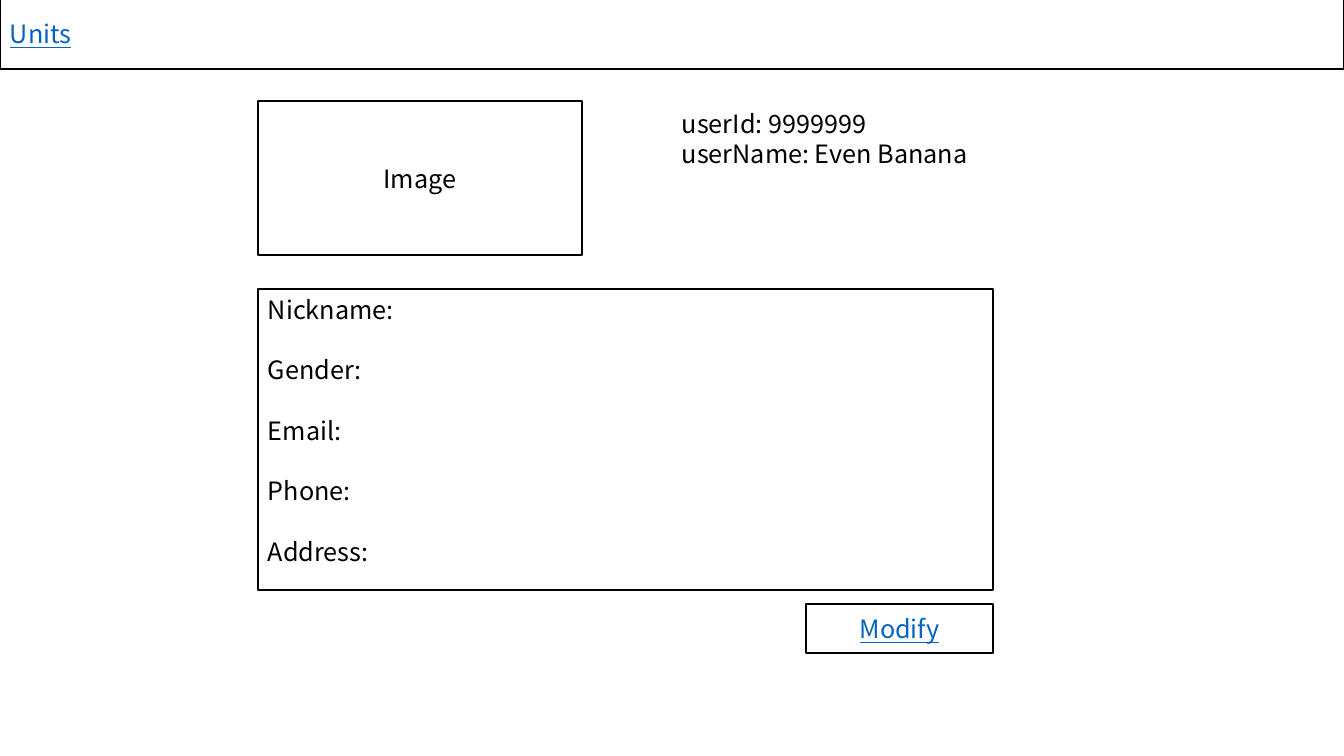
from pptx import Presentation
from pptx.dml.color import RGBColor
from pptx.enum.shapes import MSO_SHAPE
from pptx.enum.text import MSO_ANCHOR, PP_ALIGN
from pptx.util import Emu, Pt

RECTANGLE = MSO_SHAPE.RECTANGLE
TOP, MIDDLE = MSO_ANCHOR.TOP, MSO_ANCHOR.MIDDLE
LEFT, CENTER = PP_ALIGN.LEFT, PP_ALIGN.CENTER

PIXEL = 914400 / 100.8
COLORS = {"paper": "FFFFFF", "ink": "000000", "link": "0563C1"}
FONT = "Noto Sans CJK SC"
FONT_SIZE = Pt(18)
LINE_HEIGHT = Pt(21.6)


def color(name):
    return RGBColor.from_string(COLORS[name])


def to_emu(box):
    return [Emu(round(length * PIXEL)) for length in box]


def write_lines(shape, lines, anchor=TOP, align=LEFT, link=False, gap=Pt(0)):
    frame = shape.text_frame
    frame.word_wrap = True
    frame.vertical_anchor = anchor
    frame.text = "\n".join(lines)
    for index, paragraph in enumerate(frame.paragraphs):
        paragraph.alignment = align
        paragraph.line_spacing = LINE_HEIGHT
        paragraph.space_before = gap if index else Pt(0)
        for run in paragraph.runs:
            run.font.name = FONT
            run.font.size = FONT_SIZE
            run.font.color.rgb = color("link" if link else "ink")
            if link:
                run.font.underline = True


def add_panel(slide, box, lines, **text_options):
    panel = slide.shapes.add_shape(RECTANGLE, *to_emu(box))
    panel.shadow.inherit = False
    panel.fill.solid()
    panel.fill.fore_color.rgb = color("paper")
    panel.line.color.rgb = color("ink")
    panel.line.width = Pt(1)
    write_lines(panel, lines, **text_options)


# Top navigation bar
def add_navigation(slide, box):
    add_panel(slide, box, ["Units"], anchor=MIDDLE, link=True)


# User picture frame and identity text
def add_identity(slide, box):
    left, top, width, height = box
    add_panel(slide, (left, top, 324, height), ["Image"],
              anchor=MIDDLE, align=CENTER)
    identity_left = left + 414
    identity = slide.shapes.add_textbox(
        *to_emu((identity_left, top + 2, width - 414, 72)))
    write_lines(identity, ["userId: 9999999", "userName: Even Banana"])


# Profile fields with the button aligned to their right edge
def add_profile(slide, box):
    left, top, width, height = box
    button_width, button_height = 187, 49
    fields = ["Nickname:", "Gender:", "Email:", "Phone:", "Address:"]
    add_panel(slide, (left, top, width, height - button_height - 14),
              fields, gap=LINE_HEIGHT)
    add_panel(slide, (left + width - button_width, top + height - button_height,
                      button_width, button_height),
              ["Modify"], anchor=MIDDLE, align=CENTER, link=True)


presentation = Presentation()
presentation.slide_width, presentation.slide_height = to_emu((1344, 756))
slide = presentation.slides.add_slide(presentation.slide_layouts[6])

add_navigation(slide, (0, -2, 1344, 71))
add_identity(slide, (258, 101, 1130, 154))
add_profile(slide, (258, 289, 735, 364))

presentation.save("out.pptx")
